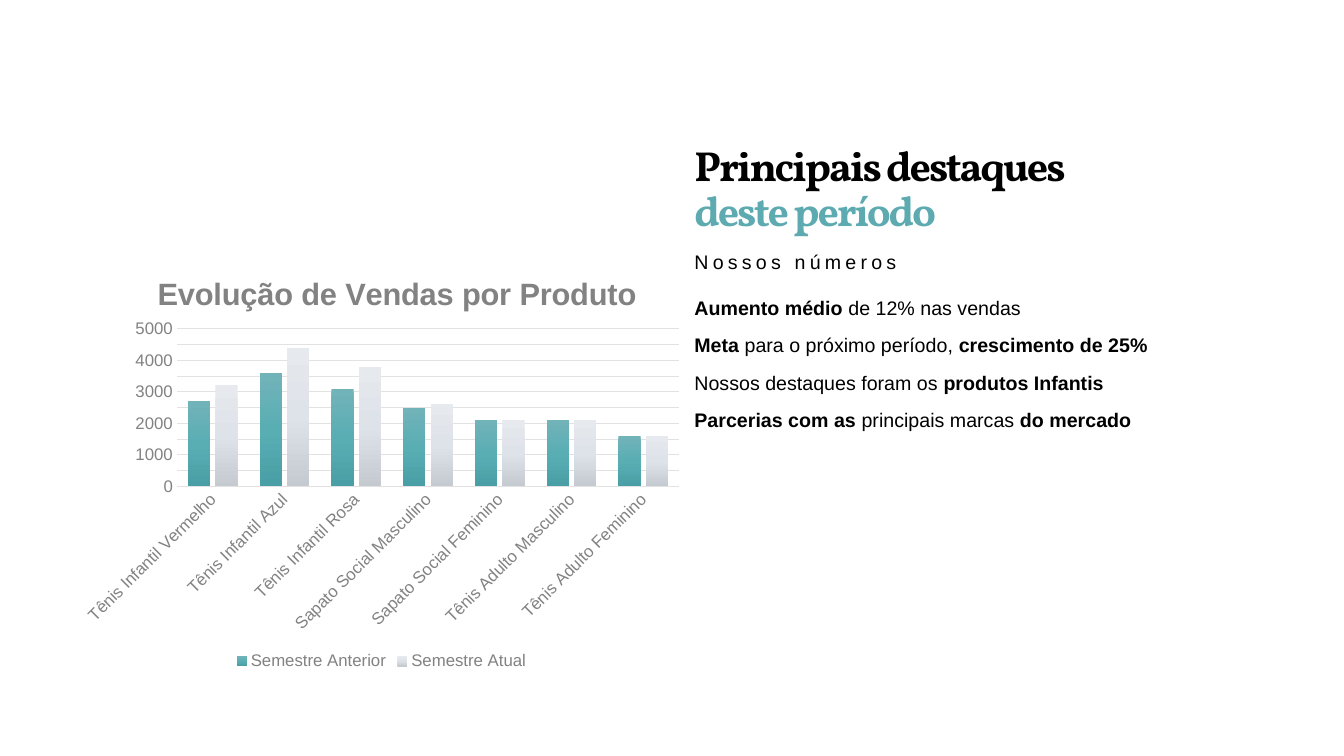
from copy import deepcopy
from lxml.etree import SubElement
from pptx import Presentation
from pptx.chart.data import CategoryChartData
from pptx.dml.color import RGBColor
from pptx.enum.chart import XL_CHART_TYPE as ChartType, XL_LEGEND_POSITION as LegendPos, XL_TICK_MARK as Tick
from pptx.enum.text import MSO_ANCHOR as Anchor, MSO_AUTO_SIZE as AutoSize, PP_ALIGN as Align
from pptx.oxml import parse_xml
from pptx.oxml.ns import nsdecls, qn
from pptx.util import Pt

COLORS = {"text": "000000", "accent": "5DAAB0", "label": "828282", "grid": "E2E2E2"}
GRADIENTS = [("72B3B9", "59AEB4", "4A9EA5"), ("E6E9EE", "DEE3E9", "C5C9D0")]
PRODUCTS = ["Tênis Infantil Vermelho", "Tênis Infantil Azul", "Tênis Infantil Rosa",
            "Sapato Social Masculino", "Sapato Social Feminino",
            "Tênis Adulto Masculino", "Tênis Adulto Feminino"]
SALES = {"Semestre Anterior": [2700, 3600, 3100, 2500, 2100, 2100, 1600],
         "Semestre Atual": [3200, 4400, 3800, 2600, 2100, 2100, 1600]}
HIGHLIGHTS = [
    [("Aumento médio ", True), ("de 12% nas vendas", False)],
    [("Meta ", True), ("para o próximo período, ", False), ("crescimento de 25%", True)],
    [("Nossos destaques foram os ", False), ("produtos Infantis", True)],
    [("Parcerias com as ", True), ("principais marcas ", False), ("do mercado", True)],
]


class SlideBuilder:
    """Holds the slide style and adds each kind of element."""

    def __init__(self, prs):
        self.s = prs.slides.add_slide(prs.slide_layouts[5])
        self.font, self.left = "Arial", 496

    def style(self, font, size, color="text", bold=False, name=None):
        font.name, font.size, font.bold = name or self.font, Pt(size), bold
        font.color.rgb = RGBColor.from_string(COLORS[color])

    def frame(self, sp, top, width, height, anchor=Anchor.TOP):
        sp.left, sp.top, sp.width, sp.height = Pt(self.left), Pt(top), Pt(width), Pt(height)
        tf = sp.text_frame
        tf.word_wrap, tf.auto_size, tf.vertical_anchor = True, AutoSize.NONE, anchor
        tf.margin_left, tf.margin_right = 0, Pt(7.2)
        tf.margin_top = tf.margin_bottom = Pt(3.6)
        return tf

    def space(self, r, points):
        r.font._element.set("spc", str(int(points * 100)))

    def title(self, lines, top, width, height):
        tf = self.frame(self.s.shapes.title, top, width, height, Anchor.BOTTOM)
        p = tf.paragraphs[0]
        p.text = "\v".join(lines)
        p.alignment, p.line_spacing = Align.LEFT, 0.9
        for r, color in zip(p.runs, ("text", "accent")):
            self.style(r.font, 30, color, True, "Vollkorn")
            self.space(r, -1.5)

    def text(self, paragraphs, top, width, height, line=1.0, spacing=0):
        sp = self.s.shapes.add_textbox(0, 0, 0, 0)
        tf = self.frame(sp, top, width, height)
        for i, parts in enumerate(paragraphs):
            p = tf.add_paragraph() if i else tf.paragraphs[0]
            p.space_before, p.line_spacing = Pt(10), line
            for words, bold in parts:
                r = p.add_run()
                r.text = words
                self.style(r.font, 14, bold=bold)
                self.space(r, spacing)

    def layout(self, **values):
        element = parse_xml(f"<c:layout {nsdecls('c')}><c:manualLayout/></c:layout>")
        for tag, value in values.items():
            SubElement(element[0], qn(f"c:{tag}")).set("val", str(value))
        return element

    def gradient(self, series, colors):
        fill = series.format.fill
        fill.gradient()
        fill.gradient_angle = 270
        stops = next(series._element.iter(qn("a:gsLst")))
        for stop in list(stops):
            stops.remove(stop)
        for i, color in enumerate(colors):
            stop = SubElement(stops, qn("a:gs"), pos=str(i * 50000))
            SubElement(stop, qn("a:srgbClr"), val=color)

    def line(self, fmt, width):
        fmt.color.rgb = RGBColor.from_string(COLORS["grid"])
        fmt.width = Pt(width)

    def axes(self, chart):
        cat, val = chart.category_axis, chart.value_axis
        for axis in (cat, val):
            axis.major_tick_mark = axis.minor_tick_mark = Tick.NONE
            self.style(axis.tick_labels.font, 12, "label")
        cat._element.txPr.find(qn("a:bodyPr")).set("rot", "-2700000")
        self.line(cat.format.line, 1)
        val.format.line.fill.background()
        val.minimum_scale, val.maximum_scale = 0, 5000
        val.major_unit, val.minor_unit = 1000, 500
        val.has_major_gridlines = val.has_minor_gridlines = True
        self.line(val.major_gridlines.format.line, 0.75)
        major, minor = (val._element.find(qn(f"c:{kind}Gridlines")) for kind in ("major", "minor"))
        minor.append(deepcopy(major[0]))

    def chart(self, title, left, top, width, height):
        data = CategoryChartData()
        data.categories = PRODUCTS
        for name, values in SALES.items():
            data.add_series(name, values)
        chart = self.s.shapes.add_chart(ChartType.COLUMN_CLUSTERED, Pt(left), Pt(top),
                                        Pt(width), Pt(height), data).chart
        self.style(chart.font, 10, "label")
        chart.has_title = True
        tf = chart.chart_title.text_frame
        tf.text = title
        self.style(tf.paragraphs[0].runs[0].font, 22, "label", True)
        heading = chart.chart_title._element
        area = chart._chartSpace.find(qn("c:chart")).find(qn("c:plotArea"))
        for parent in (heading, area):
            for old in parent.findall(qn("c:layout")):
                parent.remove(old)
        heading.insert(1, self.layout(xMode="edge", yMode="edge", x=0.13, y=0.05))
        area.insert(0, self.layout(layoutTarget="inner", xMode="edge", yMode="edge",
                                   x=0.17, y=0.19, w=0.81, h=0.37))
        chart.has_legend = True
        chart.legend.position, chart.legend.include_in_layout = LegendPos.BOTTOM, False
        self.style(chart.legend.font, 12, "label")
        plot = chart.plots[0]
        plot.gap_width, plot.overlap, plot.vary_by_categories = 100, -24, False
        for series, colors in zip(plot.series, GRADIENTS):
            self.gradient(series, colors)
        self.axes(chart)


def main():
    prs = Presentation()
    prs.slide_width, prs.slide_height = Pt(960), Pt(540)
    slide = SlideBuilder(prs)
    slide.title(["Principais destaques", "deste período"], 66, 410, 106)
    slide.text(HIGHLIGHTS, 207.5, 375, 274)
    slide.text([[("Nossos números", False)]], 177, 375, 25, line=0.9, spacing=3)
    slide.chart("Evolução de Vendas por Produto", 51, 177, 443, 304.5)
    prs.save("out.pptx")


if __name__ == "__main__":
    main()
